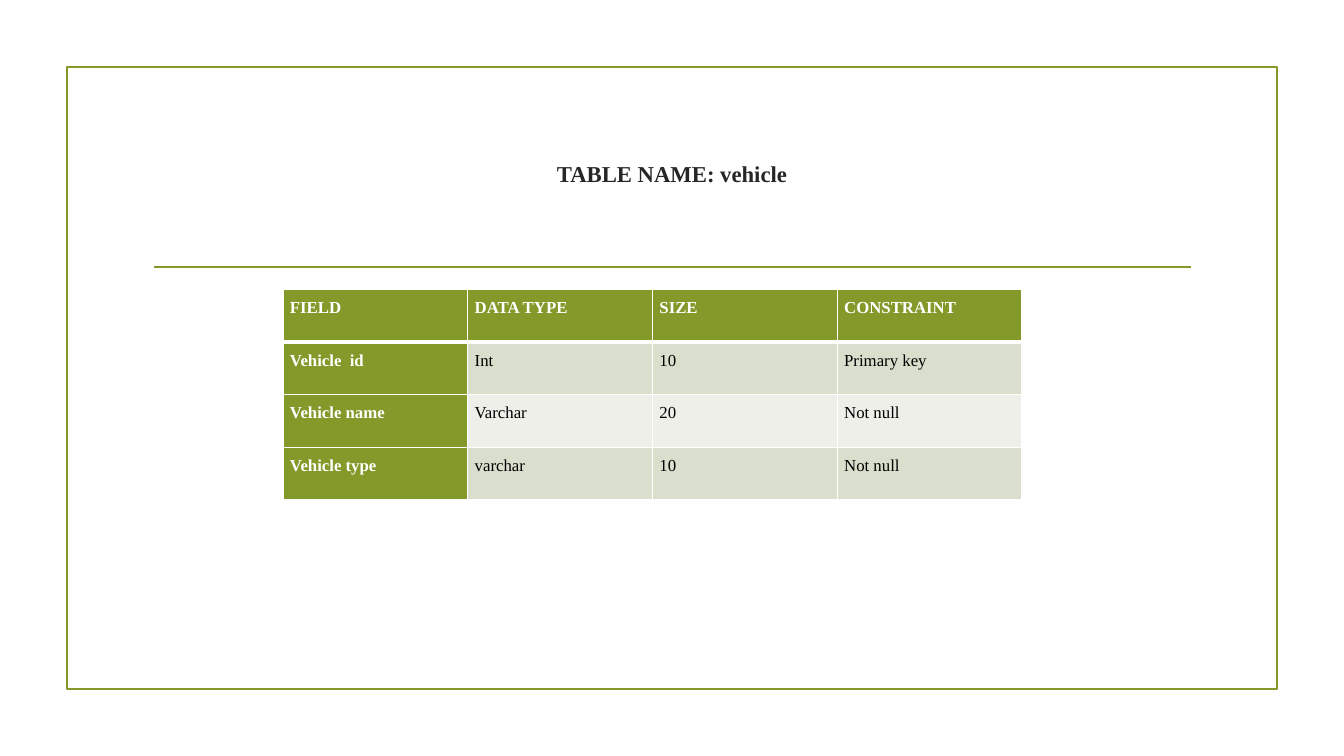
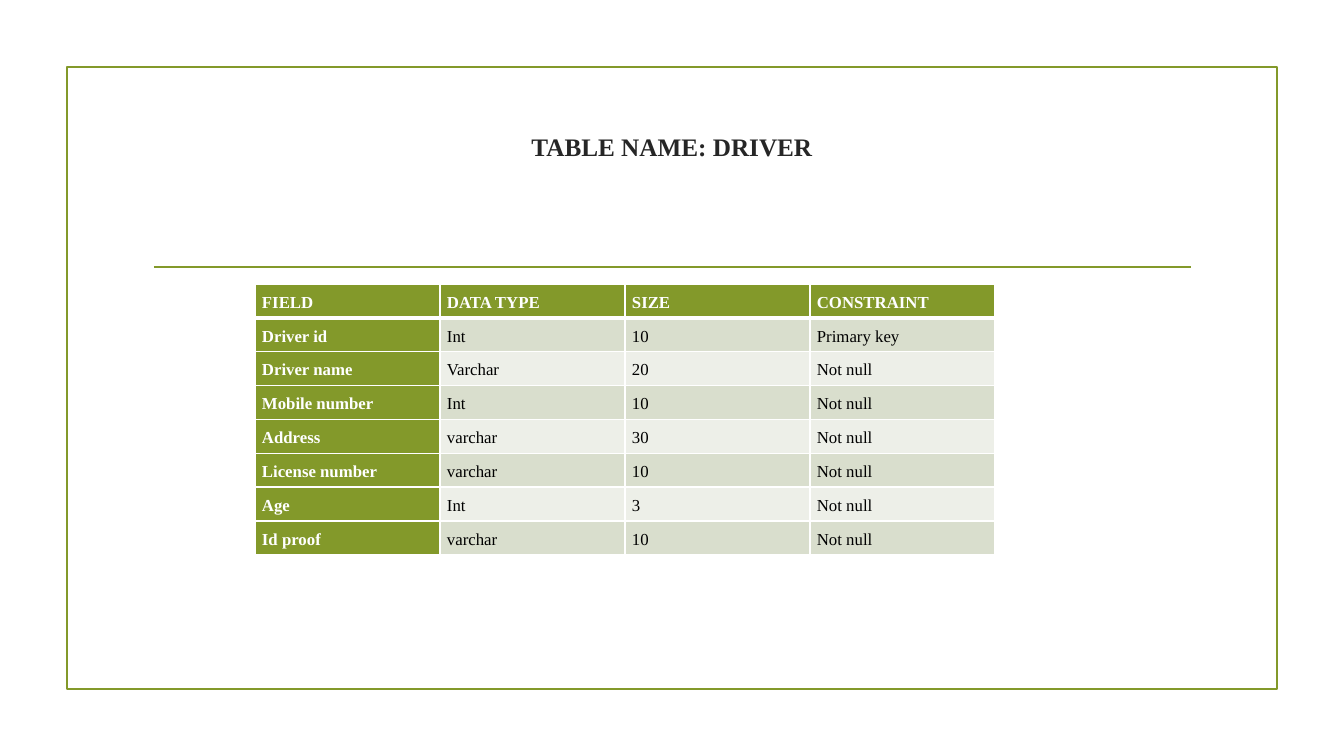
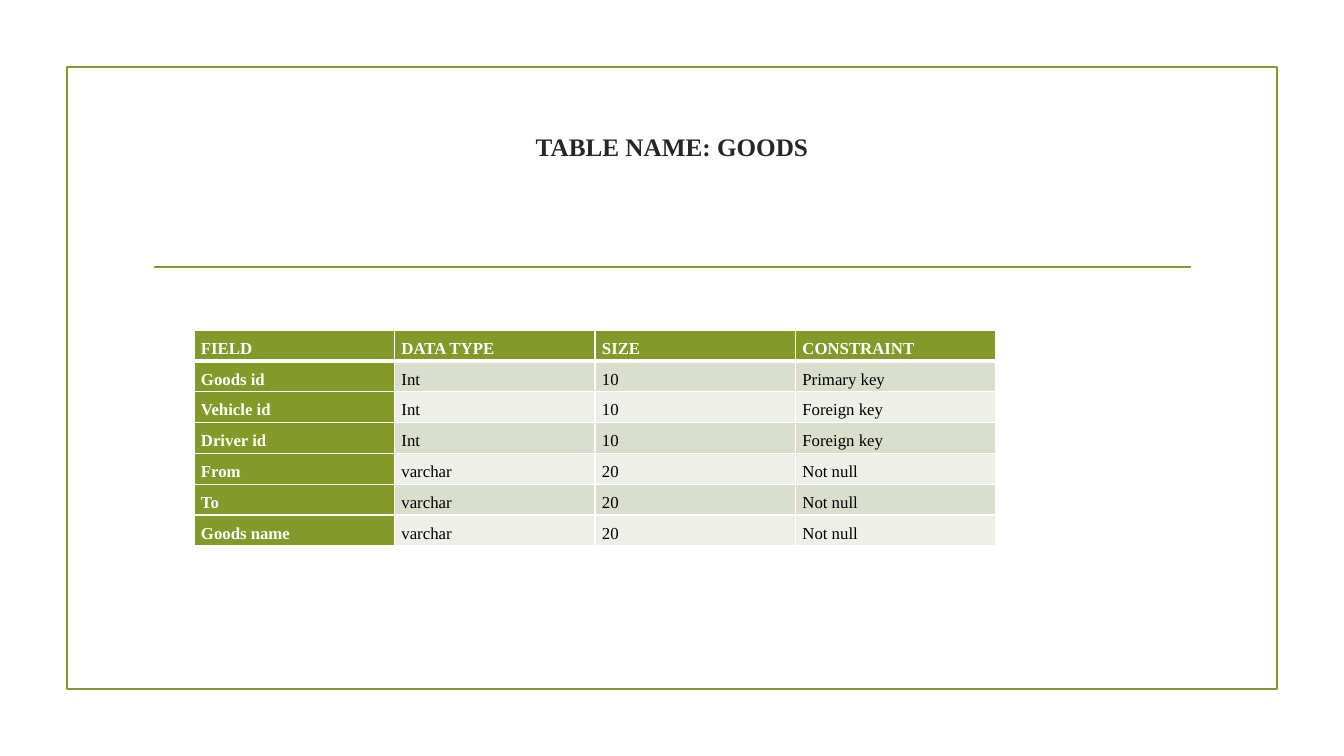
from lxml.etree import SubElement
from pptx import Presentation
from pptx.dml.color import RGBColor
from pptx.enum.shapes import MSO_CONNECTOR, MSO_SHAPE
from pptx.enum.text import MSO_ANCHOR, PP_ALIGN
from pptx.oxml.ns import qn
from pptx.util import Pt

# Content: title, its size, box (top, height, inset), table box, rows
HEAD = ("FIELD", "DATA TYPE", "SIZE", "CONSTRAINT")
PAGES = [
    dict(title="TABLE NAME: vehicle", size=16.2, head=(157, 95, 3),
         grid=(283, 289, 739, 211), rows=[
             ("Vehicle  id", "Int", "10", "Primary key"),
             ("Vehicle name", "Varchar", "20", "Not null"),
             ("Vehicle type", "varchar", "10", "Not null")]),
    dict(title="TABLE NAME: DRIVER", size=18, head=(108, 144, 23),
         grid=(255, 284, 740, 271), rows=[
             ("Driver id", "Int", "10", "Primary key"),
             ("Driver name", "Varchar", "20", "Not null"),
             ("Mobile number", "Int", "10", "Not null"),
             ("Address", "varchar", "30", "Not null"),
             ("License number", "varchar", "10", "Not null"),
             ("Age", "Int", "3", "Not null"),
             ("Id proof", "varchar", "10", "Not null")]),
    dict(title="TABLE NAME: GOODS", size=18, head=(108, 144, 23),
         grid=(194, 330, 802, 216), rows=[
             ("Goods id", "Int", "10", "Primary key"),
             ("Vehicle id", "Int", "10", "Foreign key"),
             ("Driver id", "Int", "10", "Foreign key"),
             ("From", "varchar", "20", "Not null"),
             ("To", "varchar", "20", "Not null"),
             ("Goods name", "varchar", "20", "Not null")]),
]

# Shared look
FONT = "Times New Roman"
GREEN = RGBColor(0x83, 0x99, 0x2A)
DARK = RGBColor(0x26, 0x26, 0x26)
BLACK = RGBColor(0, 0, 0)
WHITE = RGBColor(255, 255, 255)
BANDS = (RGBColor(0xED, 0xEF, 0xE8), RGBColor(0xD9, 0xDE, 0xCD))
FRAME = (67, 67, 1210, 622)
RULE = (154, 267, 1191, 267)


def px(*nums):
    return [round(n * 914400 / 100.8) for n in nums]


def write(para, text, size, color, bold):
    run = para.add_run()
    run.text = text
    font = run.font
    font.name, font.size, font.bold = FONT, Pt(size), bold
    font.color.rgb = color


def edge(cell, side, width):
    line = SubElement(cell._tc.get_or_add_tcPr(), qn("a:ln" + side),
                      w=str(Pt(width)))
    fill = SubElement(line, qn("a:solidFill"))
    SubElement(fill, qn("a:srgbClr"), val=str(WHITE))


# Frame and rule
def add_base(slide):
    frame = slide.shapes.add_shape(MSO_SHAPE.RECTANGLE, *px(*FRAME))
    frame.shadow.inherit = False
    frame.fill.background()
    rule = slide.shapes.add_connector(MSO_CONNECTOR.STRAIGHT, *px(*RULE))
    SubElement(rule._element.spPr, qn("a:effectLst"))
    for item in (frame, rule):
        item.line.color.rgb = GREEN
        item.line.width = Pt(1.25)


def add_title(slide, page):
    top, high, inset = page["head"]
    box = slide.shapes.add_textbox(*px(143, top, 1058, high))
    frame = box.text_frame
    frame.word_wrap = True
    frame.vertical_anchor = MSO_ANCHOR.TOP
    frame.margin_top = px(inset)[0]
    para = frame.paragraphs[0]
    para.alignment = PP_ALIGN.CENTER
    write(para, page["title"], page["size"], DARK, True)


def add_grid(slide, page):
    rows = [HEAD] + page["rows"]
    left, top, wide, high = px(*page["grid"])
    table = slide.shapes.add_table(
        len(rows), len(HEAD), left, top, wide, high).table
    table.horz_banding = False
    for col in table.columns:
        col.width = wide // len(HEAD)
    for row in table.rows:
        row.height = high // len(rows)
    for r, row in enumerate(rows):
        for c, text in enumerate(row):
            cell = table.cell(r, c)
            key = r == 0 or c == 0
            cell.margin_left = cell.margin_right = px(7)[0]
            cell.margin_top = cell.margin_bottom = 0
            # The line below the header is thicker
            for side, thick in (("L", False), ("R", False),
                                ("T", r == 1), ("B", r == 0)):
                edge(cell, side, 3 if thick else 1)
            cell.fill.solid()
            cell.fill.fore_color.rgb = GREEN if key else BANDS[r % 2]
            para = cell.text_frame.paragraphs[0]
            para.line_spacing = 1.5
            write(para, text, 12, WHITE if key else BLACK, key)


def main():
    deck = Presentation()
    deck.slide_width, deck.slide_height = px(1344, 756)
    for page in PAGES:
        slide = deck.slides.add_slide(deck.slide_layouts[6])
        add_base(slide)
        add_title(slide, page)
        add_grid(slide, page)
    deck.save("out.pptx")


if __name__ == "__main__":
    main()
